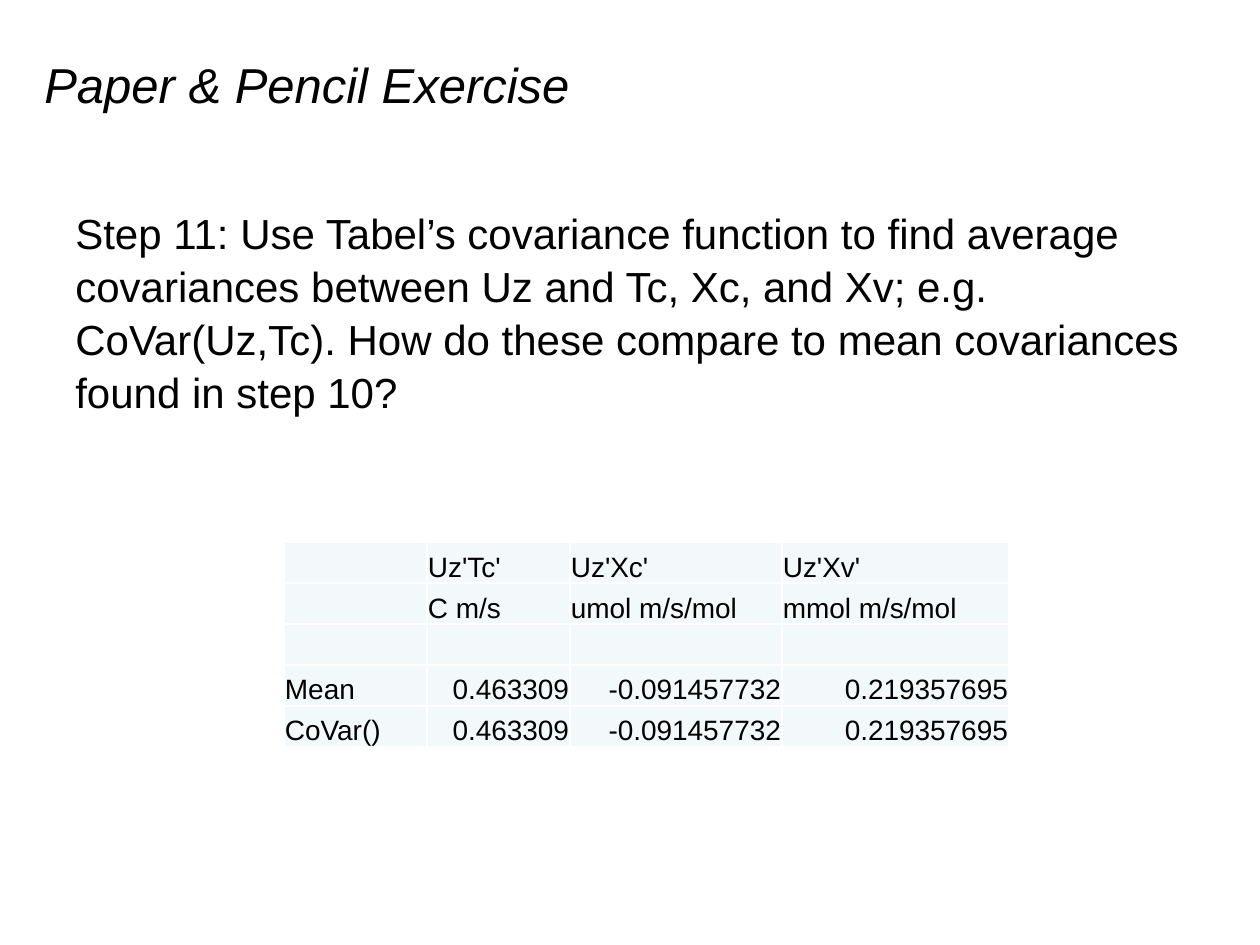
import dataclasses

import pptx
import pptx.dml.color
import pptx.enum.text
import pptx.oxml
import pptx.oxml.ns
import pptx.util

EMU_PER_PX = 914400 // 126
FONT = "Arial"
BLACK, WHITE, CELL_FILL = "000000", "FFFFFF", "F3F9FA"
ANCHOR = pptx.enum.text.MSO_ANCHOR
ALIGN = pptx.enum.text.PP_ALIGN


@dataclasses.dataclass
class TextBlock:
    text: str
    left: int
    top: int
    width: int
    height: int
    size: int
    anchor: ANCHOR
    italic: bool = False
    line_spacing: float = 1.0


def px(length: int) -> int:
    return pptx.util.Emu(length * EMU_PER_PX)


def color(value: str):
    return pptx.dml.color.RGBColor.from_string(value)


def add_run(paragraph, text: str, size: int, italic: bool = False) -> None:
    run = paragraph.add_run()
    run.text = text
    run.font.name = FONT
    run.font.size = pptx.util.Pt(size)
    run.font.italic = italic
    run.font.bold = False
    run.font.color.rgb = color(BLACK)


def add_text(slide, block: TextBlock) -> None:
    shape = slide.shapes.add_textbox(
        px(block.left), px(block.top), px(block.width), px(block.height))
    frame = shape.text_frame
    frame.word_wrap = True
    frame.vertical_anchor = block.anchor
    paragraph = frame.paragraphs[0]
    paragraph.line_spacing = block.line_spacing
    add_run(paragraph, block.text, block.size, block.italic)


def add_borders(cell) -> None:
    properties = cell._tc.get_or_add_tcPr()
    namespace = pptx.oxml.ns.nsdecls("a")
    for index, side in enumerate(("lnL", "lnR", "lnT", "lnB")):
        properties.insert(index, pptx.oxml.parse_xml(
            f'<a:{side} {namespace} w="12700"><a:solidFill>'
            f'<a:srgbClr val="{WHITE}"/></a:solidFill></a:{side}>'))


def fill_cell(cell, text: str, align: ALIGN) -> None:
    cell.fill.solid()
    cell.fill.fore_color.rgb = color(CELL_FILL)
    add_borders(cell)
    cell.vertical_anchor = ANCHOR.BOTTOM
    cell.margin_left = cell.margin_right = cell.margin_top = px(1)
    cell.margin_bottom = 0
    if text:
        paragraph = cell.text_frame.paragraphs[0]
        paragraph.alignment = align
        add_run(paragraph, text, 16)


def add_covariance_table(slide, left: int, top: int) -> None:
    table = slide.shapes.add_table(
        len(ROWS), len(COLUMN_WIDTHS), px(left), px(top),
        px(sum(COLUMN_WIDTHS)), px(ROW_HEIGHT * len(ROWS))).table
    for column, width in zip(table.columns, COLUMN_WIDTHS):
        column.width = px(width)
    for row_index, values in enumerate(ROWS):
        table.rows[row_index].height = px(ROW_HEIGHT)
        for column_index, text in enumerate(values):
            is_number = row_index >= FIRST_NUMBER_ROW and column_index > 0
            fill_cell(table.cell(row_index, column_index), text,
                      ALIGN.RIGHT if is_number else ALIGN.LEFT)


# Slide content
TITLE = TextBlock("Paper & Pencil Exercise", 32, 42, 577, 84, 28,
                  ANCHOR.MIDDLE, italic=True)
STEP = TextBlock(
    "Step 11: Use Tabel’s covariance function to find average covariances "
    "between Uz and Tc, Xc, and Xv; e.g. CoVar(Uz,Tc). How do these compare "
    "to mean covariances found in step 10?",
    63, 199, 1134, 624, 24, ANCHOR.TOP, line_spacing=1.05)
COLUMN_WIDTHS = (143, 143, 212, 227)
ROW_HEIGHT = 41
FIRST_NUMBER_ROW = 3
COVARIANCES = ("0.463309", "-0.091457732", "0.219357695")
ROWS = (
    ("", "Uz'Tc'", "Uz'Xc'", "Uz'Xv'"),
    ("", "C m/s", "umol m/s/mol", "mmol m/s/mol"),
    ("", "", "", ""),
    ("Mean", *COVARIANCES),
    ("CoVar()", *COVARIANCES),
)


def main() -> None:
    presentation = pptx.Presentation()
    presentation.slide_width = px(1260)
    presentation.slide_height = px(945)
    slide = presentation.slides.add_slide(presentation.slide_layouts[6])
    slide.background.fill.solid()
    slide.background.fill.fore_color.rgb = color(WHITE)

    # Step text, title, then the table
    add_text(slide, STEP)
    add_text(slide, TITLE)
    add_covariance_table(slide, 284, 542)
    presentation.save("out.pptx")


if __name__ == "__main__":
    main()
